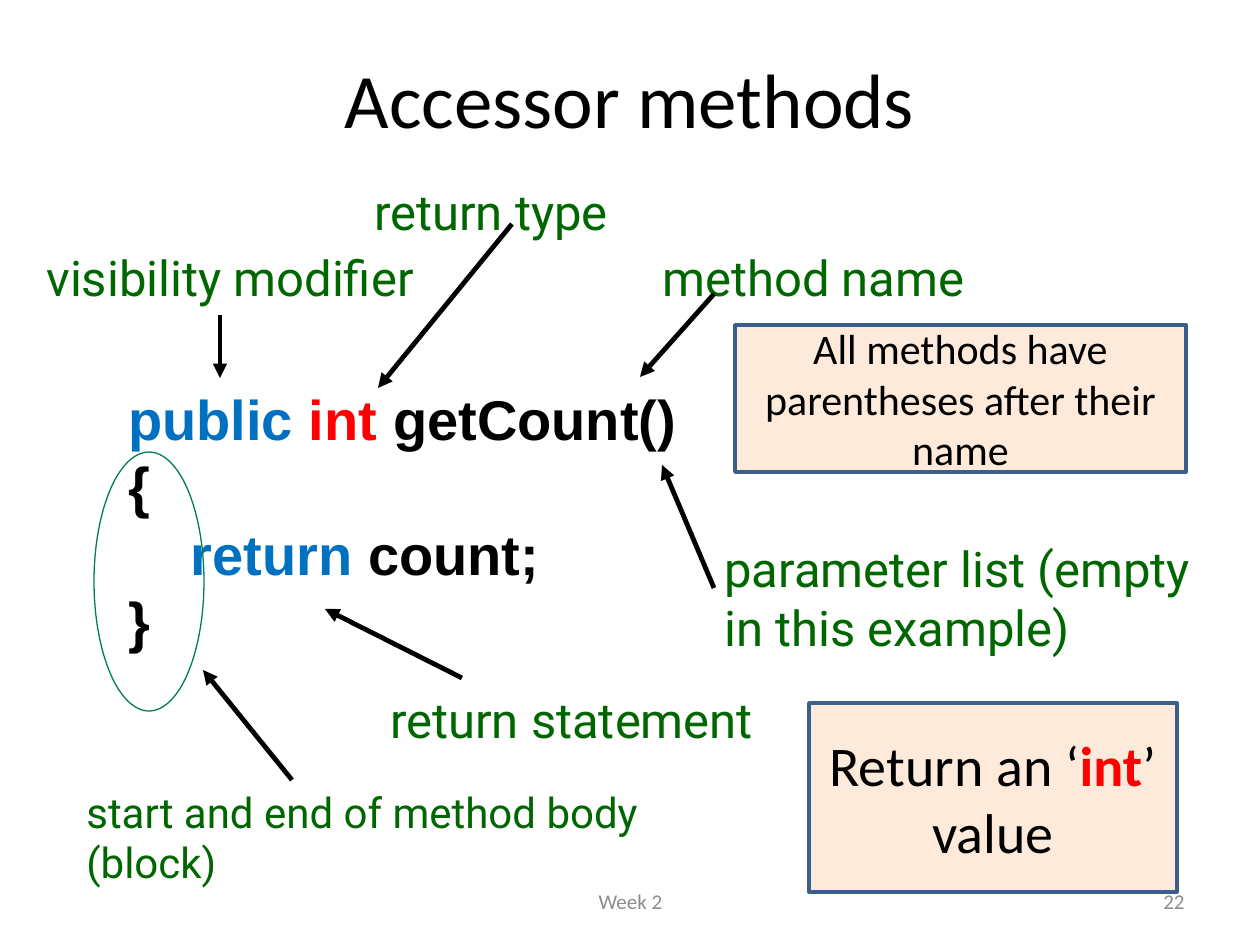
from lxml import etree
from pptx import Presentation
from pptx.dml.color import RGBColor
from pptx.enum.shapes import MSO_CONNECTOR, MSO_SHAPE
from pptx.enum.text import MSO_ANCHOR, PP_ALIGN
from pptx.oxml.ns import qn
from pptx.util import Pt

PX = 914400 / 126  # EMU per pixel
LEFT, CENTER, RIGHT = PP_ALIGN.LEFT, PP_ALIGN.CENTER, PP_ALIGN.RIGHT
TOP, MIDDLE = MSO_ANCHOR.TOP, MSO_ANCHOR.MIDDLE
RECTANGLE, OVAL = MSO_SHAPE.RECTANGLE, MSO_SHAPE.OVAL
STRAIGHT = MSO_CONNECTOR.STRAIGHT

BLACK = RGBColor(0x00, 0x00, 0x00)
BLUE = RGBColor(0x00, 0x70, 0xC0)
RED = RGBColor(0xFF, 0x00, 0x00)
GREEN = RGBColor(0x00, 0x66, 0x00)
OVAL_GREEN = RGBColor(0x00, 0x7E, 0x4F)
GRAY = RGBColor(0x8C, 0x8C, 0x8C)
PEACH = RGBColor(0xFD, 0xEA, 0xDA)
NAVY = RGBColor(0x3A, 0x5F, 0x8C)


def emu(*lengths):
    return [round(length * PX) for length in lengths]


def write(box, lines, size, font, align=LEFT, anchor=TOP, spacing=None):
    """Fill a box; each line is a list of (text, colour, bold) spans."""
    frame = box.text_frame
    frame.word_wrap = True
    frame.vertical_anchor = anchor
    for index, line in enumerate(lines):
        para = frame.paragraphs[0] if index == 0 else frame.add_paragraph()
        para.alignment = align
        if spacing:
            para.line_spacing = spacing
        for text, colour, bold in line:
            span = para.add_run()
            span.text = text
            span.font.size = Pt(size)
            span.font.name = font
            span.font.bold = bold
            span.font.color.rgb = colour


deck = Presentation()
deck.slide_width, deck.slide_height = emu(1260, 945)
page = deck.slides.add_slide(deck.slide_layouts[6])
shapes = page.shapes

# Title
title = shapes.add_textbox(*emu(63, 38, 1134, 120))
write(title, [[("Accessor methods", BLACK, False)]], 44, "Calibri", CENTER, MIDDLE)

# Method source code
code = shapes.add_textbox(*emu(116, 378, 577, 285))
code_lines = [
    [("public ", BLUE, True), ("int ", RED, True), ("getCount()", BLACK, True)],
    [("{", BLACK, True)],
    [("    ", BLACK, True), ("return ", BLUE, True), ("count;", BLACK, True)],
    [("}", BLACK, True)],
]
write(code, code_lines, 32, "Arial", spacing=Pt(38.5))

# Green labels: text, size, left, top, width, height
labels = [
    ("return type", 28, 362, 175, 296, 72),
    ("method name", 28, 650, 241, 328, 72),
    ("parameter list (empty in this example)", 28, 712, 532, 517, 131),
    ("start and end of method body (block)", 24, 74, 780, 627, 113),
    ("return statement", 28, 378, 683, 402, 72),
    ("visibility modifier", 28, 34, 241, 412, 72),
]
for text, size, *place in labels:
    label = shapes.add_textbox(*emu(*place))
    write(label, [[(text, GREEN, False)]], size, "Roboto")

# Oval around the braces
braces = shapes.add_shape(OVAL, *emu(94, 452, 110, 259))
braces.shadow.inherit = False
braces.fill.background()
braces.line.color.rgb = OVAL_GREEN
braces.line.width = Pt(0.75)

# Arrows from labels to code: start x, start y, end x, end y
arrows = [
    (292, 780, 203, 670),
    (512, 224, 378, 388),
    (714, 294, 640, 377),
    (714, 588, 662, 465),
    (462, 678, 325, 609),
    (220, 315, 220, 378),
]
for ends in arrows:
    arrow = shapes.add_connector(STRAIGHT, *emu(*ends))
    arrow.line.color.rgb = BLACK
    arrow.line.width = Pt(2.75)
    etree.SubElement(arrow.line._get_or_add_ln(), qn("a:tailEnd"), type="triangle")
    etree.SubElement(arrow._element.spPr, qn("a:effectLst"))

# Footer and page number
footers = [
    ("22", RIGHT, 903, 876, 294, 50),
    ("Week 2", CENTER, 431, 876, 399, 50),
]
for text, align, *place in footers:
    footer = shapes.add_textbox(*emu(*place))
    write(footer, [[(text, GRAY, False)]], 12, "Calibri", align, MIDDLE)

# Peach callouts
callouts = [
    ((735, 325, 451, 147), 24,
     [("All methods have parentheses after their name", BLACK, False)]),
    ((809, 703, 368, 189), 32,
     [("Return an ‘", BLACK, False), ("int", RED, True), ("’ value", BLACK, False)]),
]
for place, size, spans in callouts:
    callout = shapes.add_shape(RECTANGLE, *emu(*place))
    callout.shadow.inherit = False
    callout.fill.solid()
    callout.fill.fore_color.rgb = PEACH
    callout.line.color.rgb = NAVY
    callout.line.width = Pt(2)
    write(callout, [spans], size, "Calibri", CENTER, MIDDLE)

deck.save("out.pptx")
